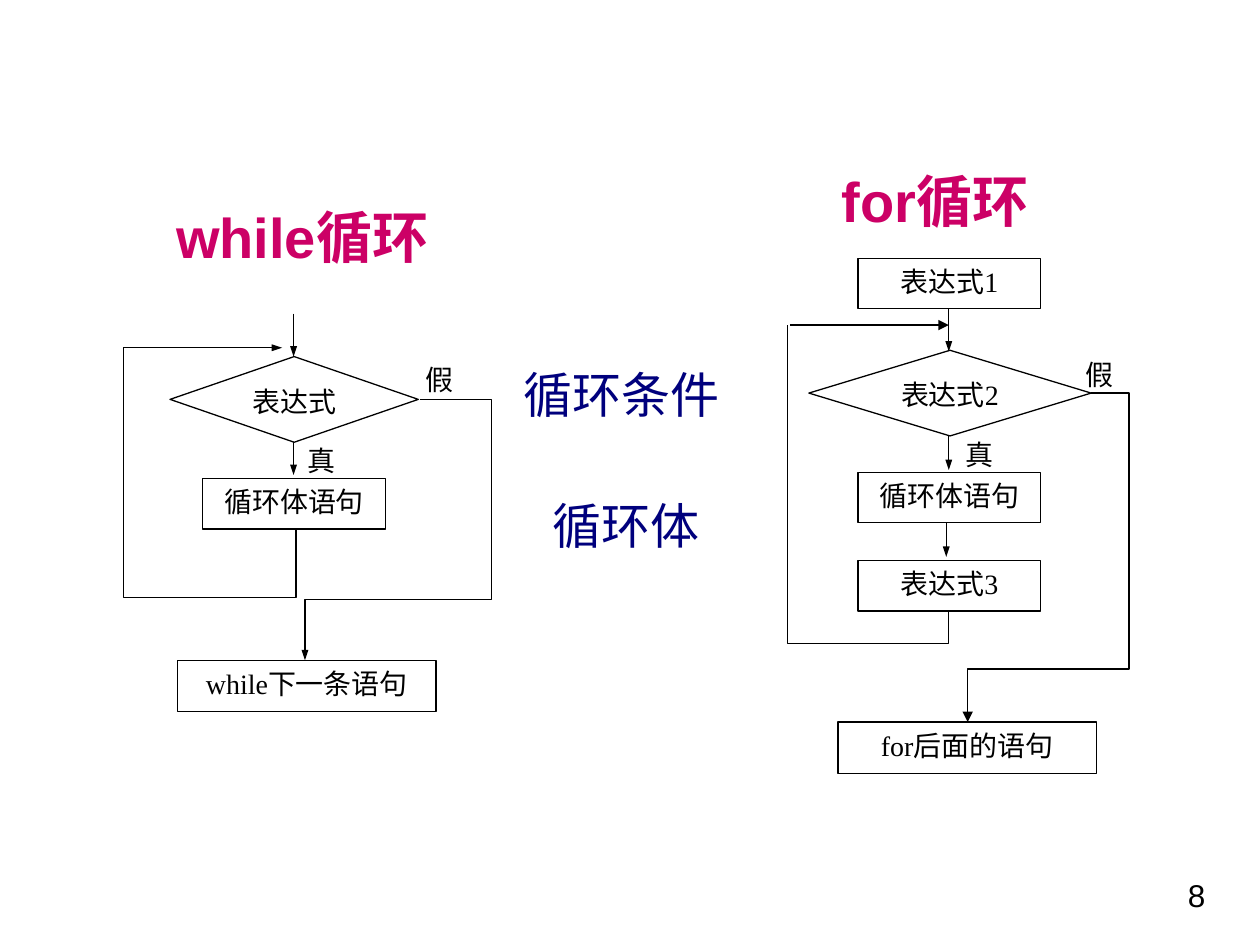
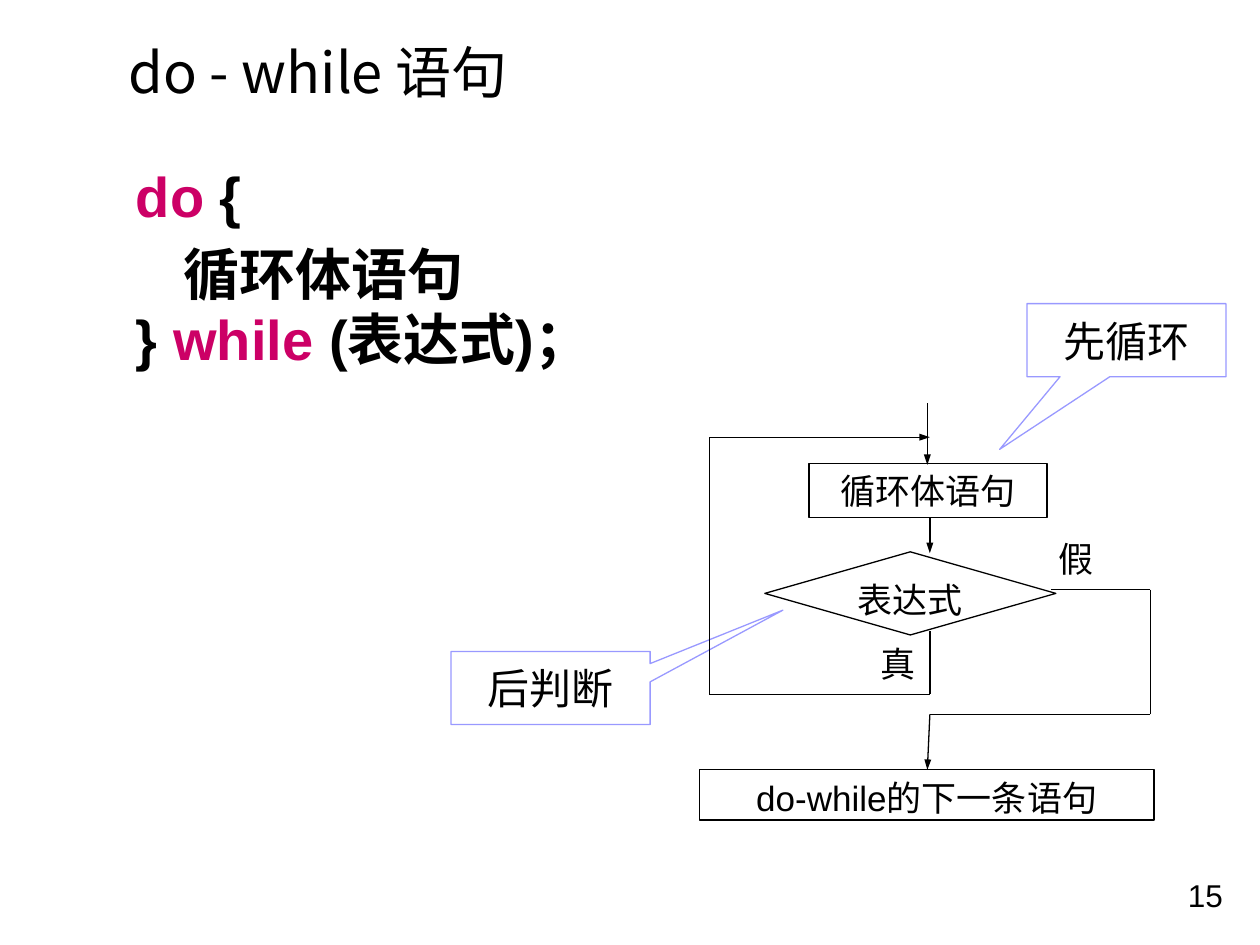
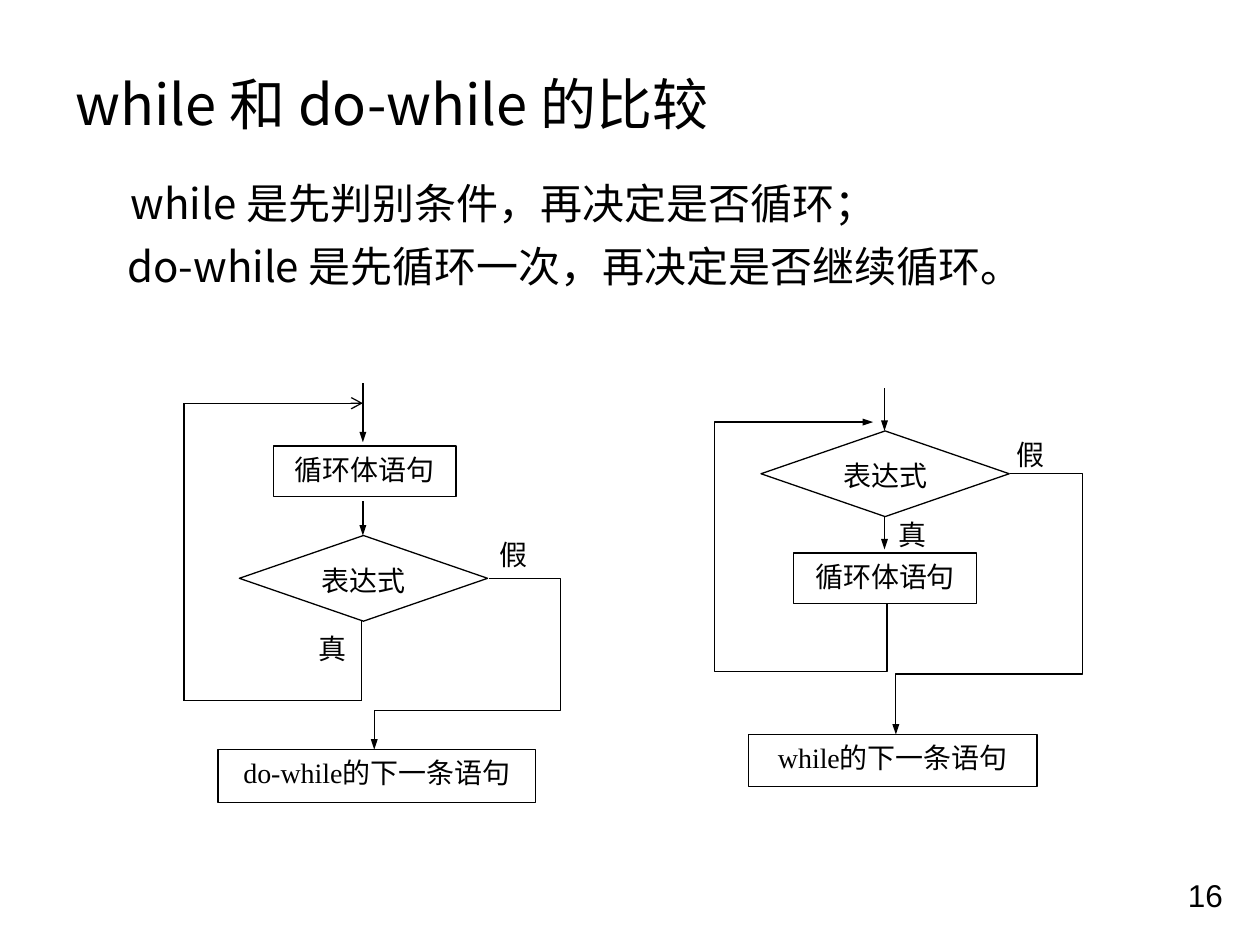
"""Three slides comparing while, do-while and for loops with flowcharts."""
from lxml.etree import SubElement
from pptx import Presentation
from pptx.dml.color import RGBColor
from pptx.enum.shapes import MSO_CONNECTOR, MSO_SHAPE
from pptx.enum.text import MSO_ANCHOR, MSO_AUTO_SIZE, PP_ALIGN
from pptx.oxml.ns import qn
from pptx.util import Inches, Pt

COLORS = {"ink": "000000", "paper": "FFFFFF", "key": "CC0066",
          "note": "00007D", "callout": "9999FF"}
SANS, SERIF, CJK = "Arial", "Times New Roman", "Noto Sans CJK SC"
TITLE_ONLY, BLANK = 5, 6


def rgb(name):
    """Return the named colour."""
    return RGBColor.from_string(COLORS[name])


def write(p, text, size=16, font=SERIF, color="ink", bold=False,
          align=PP_ALIGN.LEFT, before=0, spacing=None, indent=0):
    """Add text, or a list of (text, colour) runs, to a paragraph."""
    p.alignment = align
    p.space_before = Pt(before)
    if spacing:
        p.line_spacing = spacing
    if indent:
        p._p.get_or_add_pPr().set("marL", str(Inches(indent)))
    for part, shade in [(text, color)] if isinstance(text, str) else text:
        r = p.add_run()
        r.text = part
        r.font.size, r.font.name, r.font.bold = Pt(size), font, bold
        r.font.color.rgb = rgb(shade)
        SubElement(r._r.rPr, qn("a:ea"), typeface=CJK)


class Deck:
    """Hold the presentation, the shared style and the current slide."""

    def __init__(self):
        """Start an empty presentation."""
        self.prs = Presentation()
        self.prs.slide_width, self.prs.slide_height = Inches(10), Inches(7.5)

    def slide(self, number, title=None, at=None):
        """Add a numbered slide, with a title when one is given."""
        layout = TITLE_ONLY if title else BLANK
        self.s = self.prs.slides.add_slide(self.prs.slide_layouts[layout])
        if title:
            sp = self.s.shapes.title
            sp.left, sp.top, sp.width, sp.height = map(Inches, at)
            tf = sp.text_frame
            tf.auto_size = MSO_AUTO_SIZE.NONE
            tf.vertical_anchor = MSO_ANCHOR.TOP
            write(tf.paragraphs[0], title, size=32, font=CJK)
        self.text(str(number), (9.33, 6.9, 0.55, 0.4), size=18, font=SANS)

    def text(self, text, at, wrap=True, **fmt):
        """Add a text box with one paragraph and return its frame."""
        tf = self.s.shapes.add_textbox(*map(Inches, at)).text_frame
        tf.word_wrap = wrap
        write(tf.paragraphs[0], text, **fmt)
        return tf

    def box(self, text, at, kind=MSO_SHAPE.RECTANGLE, line="ink",
            anchor=MSO_ANCHOR.TOP, wrap=True, adjust=(), **fmt):
        """Add a white shape with centred text."""
        sp = self.s.shapes.add_shape(kind, *map(Inches, at))
        for i, value in enumerate(adjust):
            sp.adjustments[i] = value
        sp.shadow.inherit = False
        sp.fill.solid()
        sp.fill.fore_color.rgb = rgb("paper")
        if line:
            sp.line.color.rgb = rgb(line)
            sp.line.width = Pt(0.75)
        else:
            sp.line.fill.background()
        tf = sp.text_frame
        tf.word_wrap, tf.vertical_anchor = wrap, anchor
        write(tf.paragraphs[0], text, align=PP_ALIGN.CENTER, **fmt)

    def label(self, text, at, **fmt):
        """Add a branch label without an outline."""
        self.box(text, at, line=None, **fmt)

    def decision(self, text, at, **fmt):
        """Add a decision diamond."""
        self.box(text, at, kind=MSO_SHAPE.FLOWCHART_DECISION, **fmt)

    def callout(self, text, at, adjust):
        """Add a callout whose tip is set by two adjustments."""
        self.box(text, at, kind=MSO_SHAPE.RECTANGULAR_CALLOUT, line="callout",
                 anchor=MSO_ANCHOR.MIDDLE, wrap=False, adjust=adjust, size=24)

    def route(self, *points, head="triangle", head_width="sm"):
        """Draw a line through the points, with an arrowhead at the end."""
        pts = [(Inches(x), Inches(y)) for x, y in points]
        if len(pts) == 2:
            sp = self.s.shapes.add_connector(
                MSO_CONNECTOR.STRAIGHT, *pts[0], *pts[1])
        else:
            builder = self.s.shapes.build_freeform(*pts[0])
            builder.add_line_segments(pts[1:], close=False)
            sp = builder.convert_to_shape()
            sp.fill.background()
        sp.line.color.rgb = rgb("ink")
        sp.line.width = Pt(0.75)
        spPr = sp._element.spPr
        if head:
            SubElement(spPr.find(qn("a:ln")), qn("a:tailEnd"),
                       type=head, w=head_width, len="med")
        SubElement(spPr, qn("a:effectLst"))

    def chain(self, *points, **arrow):
        """Join the points by separate lines, the last one an arrow."""
        for start, end in zip(points[:-2], points[1:-1]):
            self.route(start, end, head=None)
        self.route(*points[-2:], **arrow)

    def while_chart(self, x, y, following, left, width):
        """Draw a while flowchart whose diamond starts at x, y."""
        def shift(*points):
            return [(x + dx, y + dy) for dx, dy in points]

        self.label("真", (x + 0.62, y + 0.64, 1.17, 0.41))
        self.label("假", (x + 1.64, y, 0.99, 0.41))
        self.route(*shift((0.98, 0.67), (0.98, 0.94)))
        self.box(following, (left, y + 2.41, width, 0.41))
        self.route(*shift((0.98, -0.34), (0.98, 0)))
        self.decision("表达式", (x, y, 1.97, 0.68))
        self.box("循环体语句", (x + 0.26, y + 0.97, 1.45, 0.4))
        self.route(*shift((1.98, 0.34), (2.55, 0.34), (2.55, 1.93),
                          (1.07, 1.93), (1.07, 2.41)))
        self.route(*shift((1, 1.37), (1, 1.91), (-0.37, 1.91),
                          (-0.37, -0.07), (0.89, -0.07)))


def while_and_for(d):
    """Build the slide with the while and for flowcharts."""
    d.slide(8)
    d.text("循环条件", (4.06, 2.84, 1.76, 0.57), wrap=False,
           size=28, font=SANS, color="note")
    d.text("循环体", (4.29, 3.88, 1.37, 0.57), wrap=False,
           size=28, font=SANS, color="note")
    d.label("真", (7.54, 3.42, 0.46, 0.41))
    d.label("假", (8.23, 2.79, 0.99, 0.41))
    d.decision("表达式2", (6.42, 2.78, 2.24, 0.68))
    for text, top in (("表达式1", 2.05), ("循环体语句", 3.75), ("表达式3", 4.45)):
        d.box(text, (6.81, top, 1.45, 0.4))
    d.box("for后面的语句", (6.65, 5.73, 2.05, 0.41))
    for x, top, bottom in ((7.53, 2.45, 2.79), (7.53, 3.46, 3.73),
                           (7.51, 4.15, 4.42)):
        d.route((x, top), (x, bottom))
    d.route((8.66, 3.12), (8.96, 3.12), (8.96, 5.31), (7.68, 5.31), (7.68, 5.73),
            head_width="med")
    d.route((7.53, 4.85), (7.53, 5.11), (6.25, 5.11), (6.25, 2.58), head=None)
    d.route((6.27, 2.58), (7.53, 2.58), head_width="med")
    d.while_chart(1.35, 2.83, "while下一条语句", 1.41, 2.05)
    for text, at in (("while循环", (1.3, 1.7, 2.67, 0.45)),
                     ("for循环", (6.58, 1.42, 1.94, 0.45))):
        d.text(text, at, size=32, font=SANS, color="key", bold=True, spacing=0.7)


def do_while(d):
    """Build the slide with the do-while syntax and flowchart."""
    d.slide(15, "do - while 语句", (0.92, 0.25, 7.61, 0.67))
    code = {"size": 32, "font": SANS, "bold": True}
    tf = d.text([("do", "key"), (" {", "ink")], (0.98, 1.23, 6.69, 2), **code)
    write(tf.add_paragraph(), "循环体语句", before=6.4, indent=0.38, **code)
    write(tf.add_paragraph(),
          [("} ", "ink"), ("while ", "key"), ("(表达式)；", "ink")],
          before=6.4, spacing=0.8, **code)
    d.callout("先循环", (8.15, 2.41, 1.58, 0.58), (-0.637, 1.494))
    d.callout("后判断", (3.58, 5.17, 1.58, 0.58), (1.167, -1.065))
    chart = {"size": 20, "font": SANS}
    d.label("真", (6.89, 5.05, 0.46, 0.43), **chart)
    d.label("假", (8.22, 4.22, 0.64, 0.43), **chart)
    d.decision("表达式", (6.07, 4.38, 2.31, 0.66), **chart)
    d.box("循环体语句", (6.42, 3.68, 1.89, 0.43), **chart)
    d.route((7.38, 4.11), (7.38, 4.39))
    d.route((7.36, 3.2), (7.36, 3.69))
    d.chain((7.38, 5.01), (7.38, 5.51), (5.63, 5.51), (5.63, 3.47), (7.38, 3.47))
    d.chain((8.34, 4.68), (9.13, 4.68), (9.13, 5.67), (7.38, 5.67), (7.36, 6.11))
    d.box("do-while的下一条语句", (5.55, 6.11, 3.61, 0.4), **chart)


def comparison(d):
    """Build the slide comparing while with do-while."""
    d.slide(16, "while 和 do-while 的比较", (0.5, 0.5, 8.34, 0.7))
    body = {"size": 24, "font": CJK}
    tf = d.text("while 是先判别条件，再决定是否循环；",
                (0.83, 1.36, 8.25, 1.64), indent=0.11, **body)
    write(tf.add_paragraph(), "do-while 是先循环一次，再决定是否继续循环。",
          before=7, indent=0.08, **body)
    d.while_chart(6.04, 3.42, "while的下一条语句", 5.94, 2.29)
    d.label("真", (2.05, 4.96, 1.17, 0.41))
    d.label("假", (3.58, 4.22, 0.99, 0.42))
    d.route((2.88, 3.98), (2.88, 4.25))
    d.box("do-while的下一条语句", (1.73, 5.95, 2.52, 0.42))
    d.route((2.88, 3.04), (2.88, 3.51))
    d.decision("表达式", (1.9, 4.25, 1.97, 0.68))
    d.route((3.88, 4.59), (4.45, 4.59), (4.45, 5.64), (2.97, 5.64), (2.97, 5.95))
    d.box("循环体语句", (2.17, 3.54, 1.45, 0.4))
    d.chain((2.87, 4.93), (2.87, 5.56), (1.46, 5.56), (1.46, 3.2), (2.88, 3.2),
            head="arrow", head_width="med")


def main():
    """Build and save the presentation."""
    d = Deck()
    while_and_for(d)
    do_while(d)
    comparison(d)
    d.prs.save("out.pptx")


if __name__ == "__main__":
    main()
